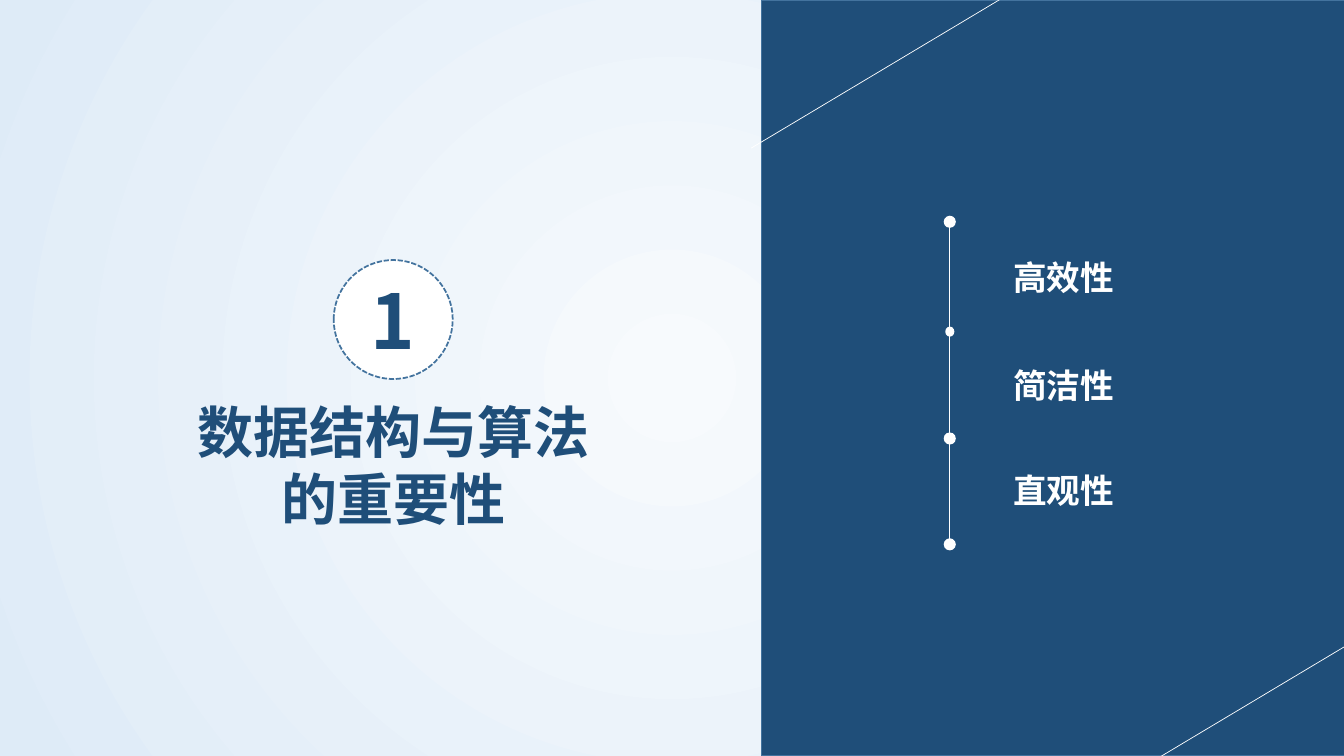
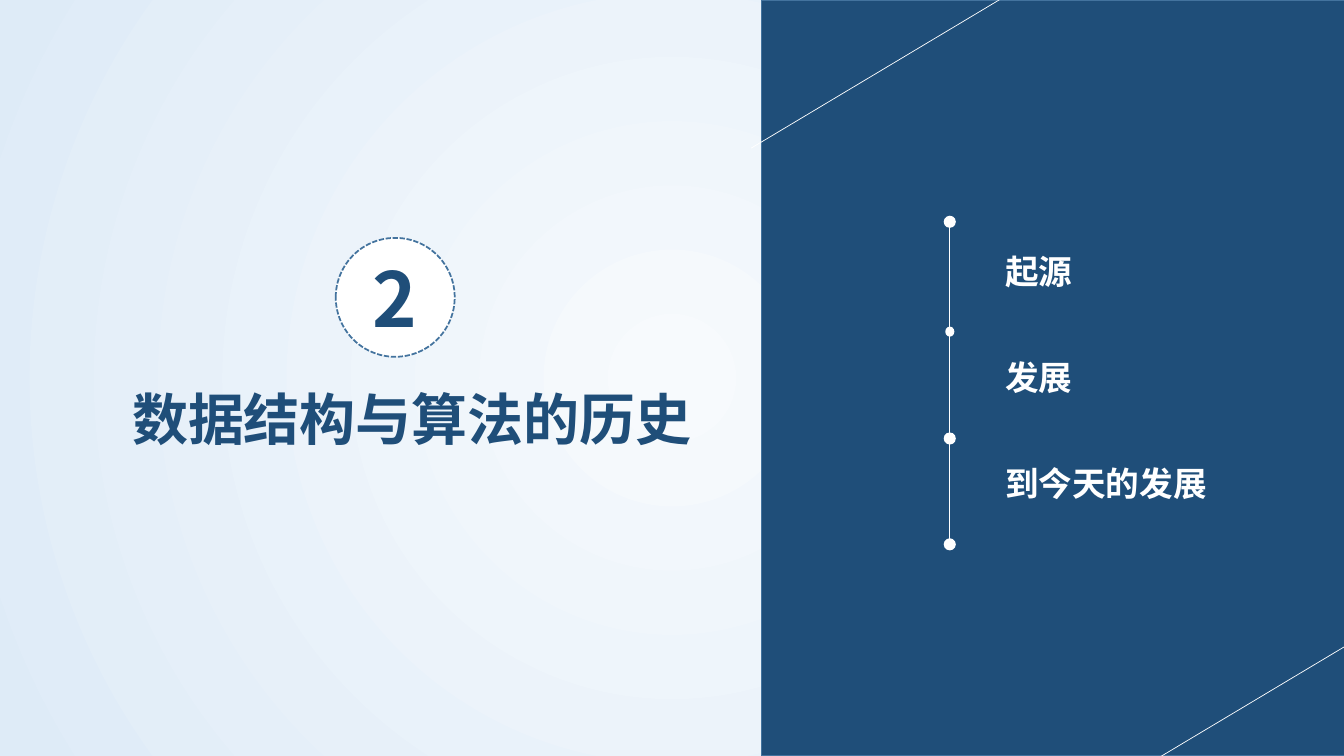
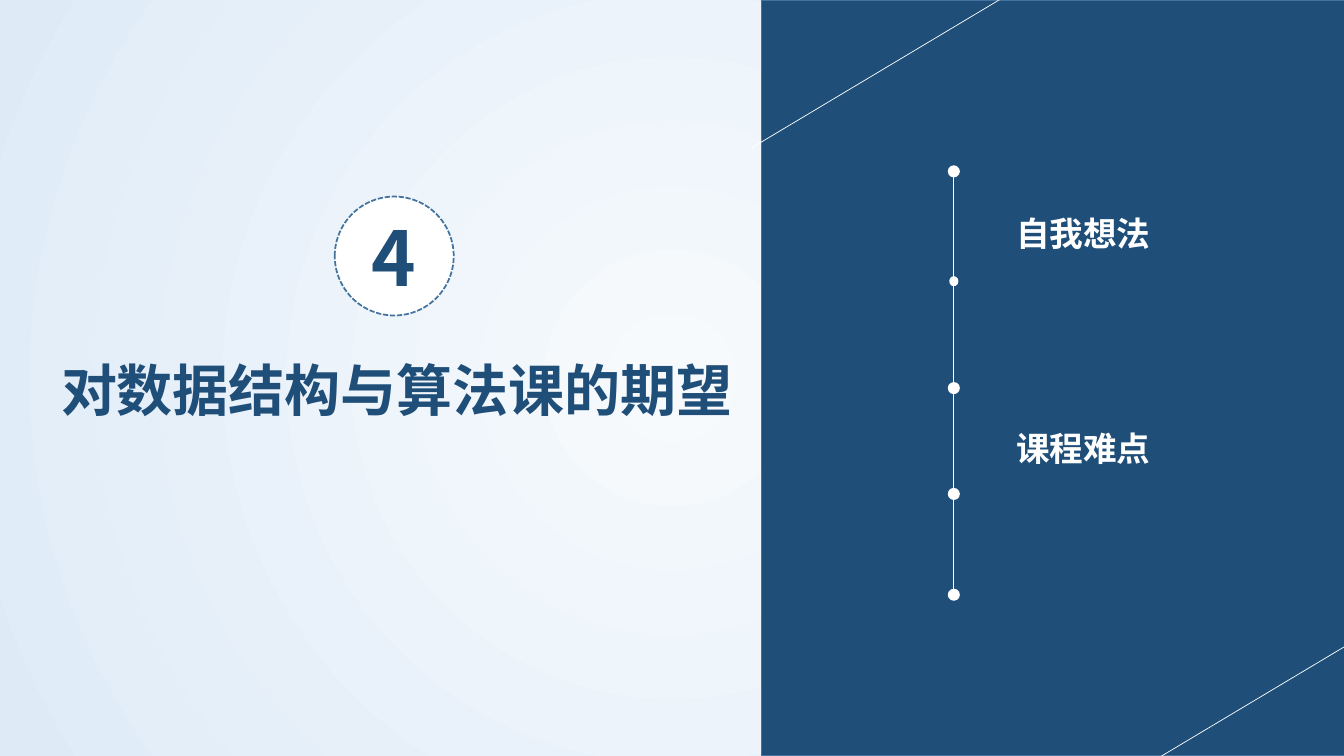
from itertools import pairwise

from lxml import etree
from pptx import Presentation
from pptx.dml.color import RGBColor
from pptx.enum.dml import MSO_LINE
from pptx.enum.shapes import MSO_CONNECTOR, MSO_SHAPE
from pptx.enum.text import MSO_ANCHOR, MSO_AUTO_SIZE, PP_ALIGN
from pptx.oxml.ns import qn
from pptx.util import Inches, Pt

COLORS = {
    "navy": "1F4E79",
    "edge": "43739E",
    "white": "FFFFFF",
    "glow": "F7FAFD",
    "mist": "DEEBF7",
}
FONT = "Noto Sans CJK SC"
DOT_OFFSETS = (0, 1.09, 2.15, 3.2, 4.2)
DIAGONALS = ((10.36, -0.27, 7.45, 1.47), (13.98, 6.03, 11.07, 7.77))

SECTIONS = [
    {
        "number": "1", "badge": (3.31, 2.58),
        "title": "数据结构与算法的重要性", "title_box": (1.76, 3.89, 4.28, 1.45),
        "axis": (9.42, 2.2), "dots": 4, "label_left": 9.95,
        "labels": [("高效性", 2.5), ("简洁性", 3.57), ("直观性", 4.61)],
    },
    {
        "number": "2", "badge": (3.33, 2.36),
        "title": "数据结构与算法的历史", "title_box": (1.08, 3.76, 6.01, 0.77),
        "axis": (9.42, 2.2), "dots": 4, "label_left": 9.87,
        "labels": [("起源", 2.44), ("发展", 3.49), ("到今天的发展", 4.54)],
    },
    {
        "number": "4", "badge": (3.32, 1.95),
        "title": "对数据结构与算法课的期望", "title_box": (0.17, 3.48, 7.53, 0.77),
        "axis": (9.46, 1.7), "dots": 5, "label_left": 9.98,
        "labels": [("自我想法", 2.06), ("课程难点", 4.2)],
    },
]


def rgb(name):
    return RGBColor.from_string(COLORS[name])


class Deck:
    """Holds the shared style and the slide being built."""

    def __init__(self):
        self.prs = Presentation()
        self.prs.slide_width = Inches(13.33)
        self.prs.slide_height = Inches(7.5)
        self.s = None
        self.background()

    def background(self):
        master = self.prs.slide_master
        fill = master.background.fill
        fill.gradient()
        for stop, position, name in zip(fill.gradient_stops, (0, 1), ("glow", "mist")):
            stop.position = position
            stop.color.rgb = rgb(name)
        lin = master.element.find(f".//{qn('p:bg')}//{qn('a:lin')}")
        circle = etree.Element(qn("a:path"), path="circle")
        etree.SubElement(circle, qn("a:fillToRect"), l="50000", t="50000", r="50000", b="50000")
        lin.getparent().replace(lin, circle)

    def new_slide(self):
        self.s = self.prs.slides.add_slide(self.prs.slide_layouts[5])

    def text(self, tf, text, size, color, align):
        tf.word_wrap = True
        p = tf.paragraphs[0]
        p.alignment = align
        r = p.add_run()
        r.text = text
        r.font.size = Pt(size)
        r.font.bold = True
        r.font.color.rgb = rgb(color)
        r.font.name = FONT
        etree.SubElement(r._r.get_or_add_rPr(), qn("a:ea"), typeface=FONT)

    def title(self, text, box):
        sp = self.s.shapes.title
        sp.left, sp.top, sp.width, sp.height = map(Inches, box)
        tf = sp.text_frame
        tf.vertical_anchor = MSO_ANCHOR.TOP
        tf.auto_size = MSO_AUTO_SIZE.SHAPE_TO_FIT_TEXT
        self.text(tf, text, 40, "navy", PP_ALIGN.CENTER)

    def label(self, text, left, top):
        width = 2.38 if len(text) > 5 else 1.96
        box = self.s.shapes.add_textbox(*map(Inches, (left, top, width, 0.5)))
        tf = box.text_frame
        tf.auto_size = MSO_AUTO_SIZE.SHAPE_TO_FIT_TEXT
        self.text(tf, text, 24, "white", PP_ALIGN.LEFT)

    def shape(self, kind, box, fill, line_width=None):
        sp = self.s.shapes.add_shape(kind, *map(Inches, box))
        sp.shadow.inherit = False
        sp.fill.solid()
        sp.fill.fore_color.rgb = rgb(fill)
        if line_width:
            sp.line.color.rgb = rgb("edge")
            sp.line.width = Pt(line_width)
        else:
            sp.line.fill.background()
        return sp

    def line(self, ends, width):
        cxn = self.s.shapes.add_connector(MSO_CONNECTOR.STRAIGHT, *map(Inches, ends))
        cxn.line.color.rgb = rgb("white")
        cxn.line.width = Pt(width)
        etree.SubElement(cxn._element.spPr, qn("a:effectLst"))

    def badge(self, number, left, top):
        sp = self.shape(MSO_SHAPE.OVAL, (left, top, 1.18, 1.18), "white", 1.25)
        sp.line.dash_style = MSO_LINE.SQUARE_DOT
        sp.text_frame.vertical_anchor = MSO_ANCHOR.MIDDLE
        self.text(sp.text_frame, number, 54, "navy", PP_ALIGN.CENTER)

    def panel(self):
        self.shape(MSO_SHAPE.RECTANGLE, (7.55, 0, 5.79, 7.5), "navy", 1)
        for ends in DIAGONALS:
            self.line(ends, 0.5)

    def timeline(self, x, top, dots):
        centers = [top + offset for offset in DOT_OFFSETS[:dots]]
        for start, end in pairwise(centers):
            self.line((x, start, x, end), 1)
        for i, y in enumerate(centers):
            w, h = (0.09, 0.1) if i == 1 else (0.12, 0.12)
            self.shape(MSO_SHAPE.OVAL, (x - w / 2, y - h / 2, w, h), "white")

    def section(self, data):
        self.new_slide()
        self.title(data["title"], data["title_box"])
        self.badge(data["number"], *data["badge"])
        self.panel()
        self.timeline(*data["axis"], data["dots"])
        for text, top in data["labels"]:
            self.label(text, data["label_left"], top)


def main():
    deck = Deck()
    for data in SECTIONS:
        deck.section(data)
    deck.prs.save("out.pptx")


if __name__ == "__main__":
    main()
